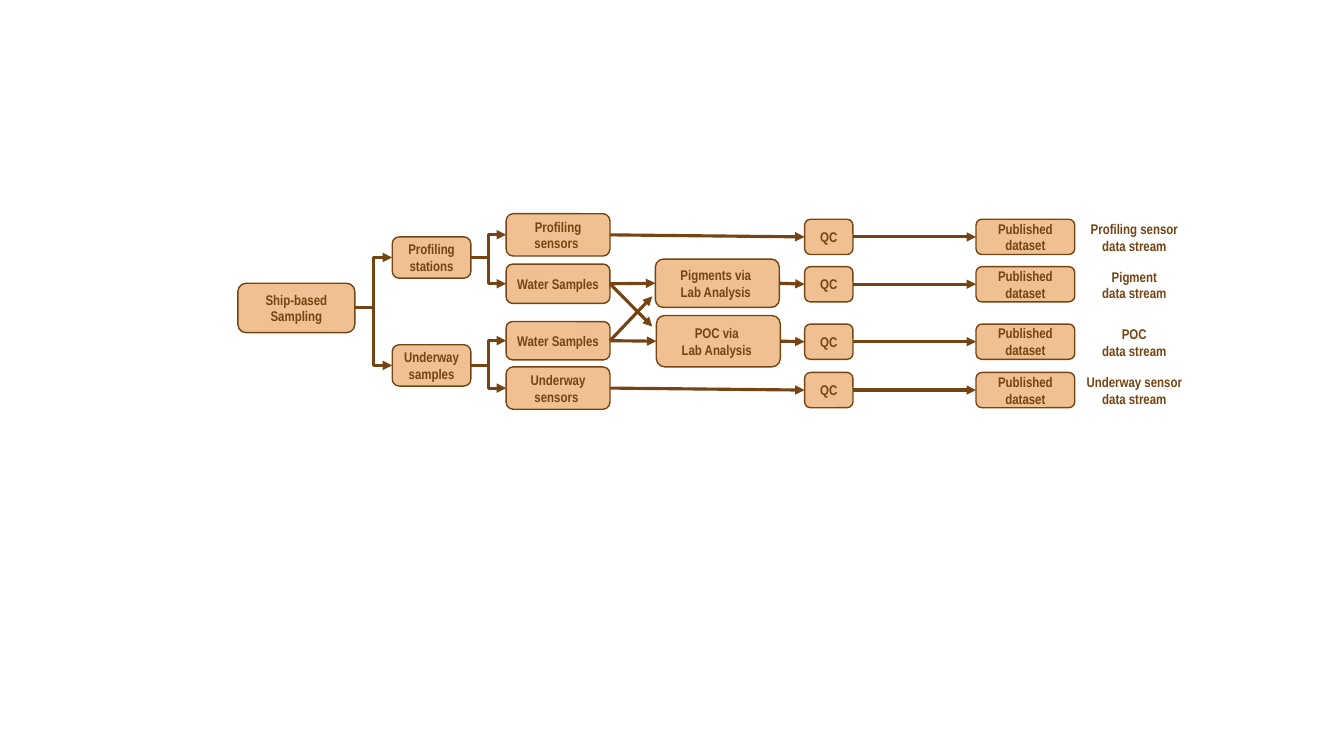
"""Build a slide showing how ship-based sampling leads to four published data streams."""
from lxml import etree
from pptx import Presentation
from pptx.dml.color import RGBColor
from pptx.enum.shapes import MSO_CONNECTOR, MSO_SHAPE
from pptx.enum.text import MSO_ANCHOR, PP_ALIGN
from pptx.oxml.ns import qn
from pptx.util import Inches, Pt

PROCESS = MSO_SHAPE.FLOWCHART_ALTERNATE_PROCESS
ROUNDED = MSO_SHAPE.ROUNDED_RECTANGLE
STRAIGHT, ELBOW = MSO_CONNECTOR.STRAIGHT, MSO_CONNECTOR.ELBOW
MIDDLE, CENTER = MSO_ANCHOR.MIDDLE, PP_ALIGN.CENTER
LEFT_SIDE, RIGHT_SIDE = 1, 3
BROWN, SAND = "754412", "EEC092"

STEPS = {
    "ship": ("Ship-based Sampling", PROCESS, 2.36, 2.81, 1.16, 0.49),
    "stations": ("Profiling stations", PROCESS, 3.89, 2.35, 0.78, 0.41),
    "underway": ("Underway samples", PROCESS, 3.89, 3.42, 0.78, 0.41),
    "profiling sensors": ("Profiling sensors ", PROCESS, 5.02, 2.12, 1.03, 0.42),
    "station water": ("Water Samples", ROUNDED, 5.02, 2.62, 1.03, 0.39),
    "underway water": ("Water Samples", ROUNDED, 5.02, 3.19, 1.03, 0.38),
    "underway sensors": ("Underway sensors ", PROCESS, 5.02, 3.64, 1.03, 0.42),
    "pigments": ("Pigments via \vLab Analysis ", PROCESS, 6.5, 2.57, 1.23, 0.48),
    "poc": ("POC via \vLab Analysis ", PROCESS, 6.51, 3.13, 1.23, 0.51),
}
BRANCHES = [
    ("ship", "stations"), ("ship", "underway"),
    ("stations", "profiling sensors"), ("stations", "station water"),
    ("underway", "underway water"), ("underway", "underway sensors"),
]
LAB_FLOWS = [("station water", "pigments"), ("underway water", "poc")]
CROSS_FLOWS = [("station water", 6.47, 3.24), ("underway water", 6.47, 2.94)]
STREAMS = [
    ("profiling sensors", "Profiling sensor\ndata stream", 2.35),
    ("pigments", "Pigment\ndata stream", 2.82),
    ("poc", "POC\ndata stream", 3.39),
    ("underway sensors", "Underway sensor\ndata stream", 3.87),
]
QC_LEFT, QC_WIDTH = 7.98, 0.48
DATASET_LEFT, DATASET_WIDTH = 9.68, 0.98
ROW_HEIGHT = 0.35
LABEL_CENTER, LABEL_WIDTH, LABEL_HEIGHT = 11.25, 1.16, 0.44

deck = Presentation()
deck.slide_width, deck.slide_height = Inches(13.33), Inches(7.5)
slide = deck.slides.add_slide(deck.slide_layouts[6])


def color(hex_value):
    return RGBColor.from_string(hex_value)


def write(frame, text, size=10, font="Arial Narrow", ink=BROWN, bold=True, wrap=True):
    frame.word_wrap = wrap
    frame.text = text
    for paragraph in frame.paragraphs:
        paragraph.alignment = CENTER
        for run in paragraph.runs:
            run.font.size, run.font.name, run.font.bold = Pt(size), font, bold
            run.font.color.rgb = color(ink)


def add_step(text, preset, left, top, width, height):
    step = slide.shapes.add_shape(preset, *map(Inches, (left, top, width, height)))
    step.shadow.inherit = False
    step.fill.solid()
    step.fill.fore_color.rgb = color(SAND)
    step.line.color.rgb = color(BROWN)
    step.line.width = Pt(1)
    frame = step.text_frame
    frame.margin_left = frame.margin_right = Inches(0.06)
    frame.margin_top = frame.margin_bottom = Inches(0.03)
    frame.vertical_anchor = MIDDLE
    write(frame, text)
    return step


def add_arrow(source, target=None, kind=STRAIGHT, tip=(0, 0)):
    end = [Inches(value) for value in tip]
    start = source.left + source.width, source.top + source.height // 2
    arrow = slide.shapes.add_connector(kind, *start, *end)
    arrow.begin_connect(source, RIGHT_SIDE)
    if target is not None:
        arrow.end_connect(target, LEFT_SIDE)
    arrow.line.color.rgb = color(BROWN)
    arrow.line.width = Pt(2.25)
    etree.SubElement(arrow.line._get_or_add_ln(), qn("a:tailEnd"), type="triangle")
    etree.SubElement(arrow._element.spPr, qn("a:effectLst"))


steps = {key: add_step(*details) for key, details in STEPS.items()}
for source, target in BRANCHES:
    add_arrow(steps[source], steps[target], ELBOW)
for source, target in LAB_FLOWS:
    add_arrow(steps[source], steps[target])
for source, *tip in CROSS_FLOWS:
    add_arrow(steps[source], tip=tip)

for source, stream, middle in STREAMS:
    top = middle - ROW_HEIGHT / 2
    qc = add_step("QC", ROUNDED, QC_LEFT, top, QC_WIDTH, ROW_HEIGHT)
    dataset = add_step("Published dataset", PROCESS, DATASET_LEFT, top, DATASET_WIDTH, ROW_HEIGHT)
    add_arrow(steps[source], qc)
    add_arrow(qc, dataset)
    label = slide.shapes.add_textbox(
        Inches(LABEL_CENTER - LABEL_WIDTH / 2), Inches(middle - LABEL_HEIGHT / 2 + 0.01),
        Inches(LABEL_WIDTH), Inches(LABEL_HEIGHT))
    write(label.text_frame, stream, wrap=False)

deck.save("out.pptx")
